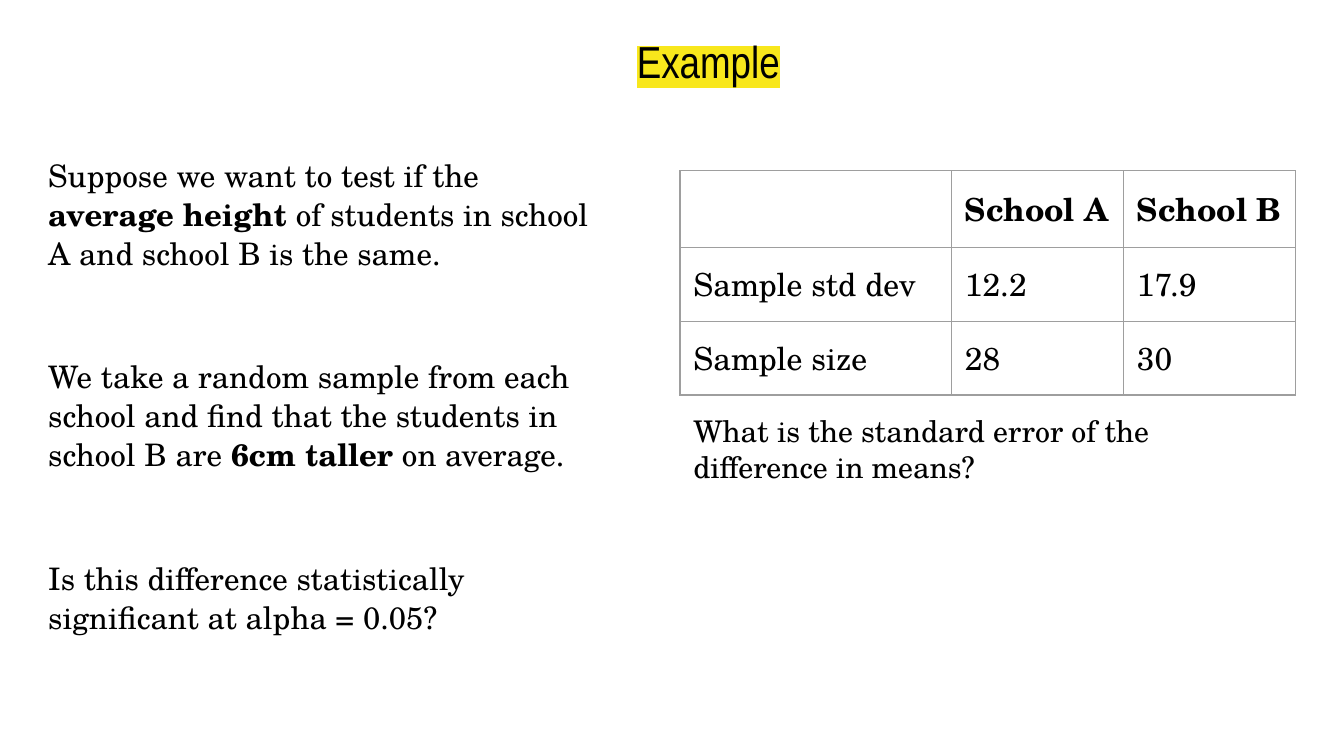
from lxml.etree import SubElement
from pptx import Presentation
from pptx.dml.color import RGBColor
from pptx.enum.text import MSO_ANCHOR, PP_ALIGN
from pptx.oxml.ns import qn
from pptx.util import Inches, Pt

FACE = "TeX Gyre Schola"
EDGE = "9E9E9E"
PAD = Inches(0.1)
RIGHT = 5.06


def style(par, size, face=FACE, color="000000"):
    par.font.size = Pt(size)
    par.font.name = face
    par.font.color.rgb = RGBColor.from_string(color)


def add_box(left, top, width, height, anchor=MSO_ANCHOR.TOP):
    """Add a wrapping text box, lengths in inches, and return its frame."""
    box = slide.shapes.add_textbox(*map(Inches, (left, top, width, height)))
    frame = box.text_frame
    frame.word_wrap = True
    frame.vertical_anchor = anchor
    frame.margin_left = frame.margin_right = PAD
    frame.margin_top = frame.margin_bottom = PAD
    return frame


deck = Presentation()
deck.slide_width = Inches(10)
deck.slide_height = deck.slide_width * 9 // 16
slide = deck.slides.add_slide(deck.slide_layouts[6])

# Title on a yellow marker
title = add_box(2.27, 0.13, 6, 0.62, MSO_ANCHOR.BOTTOM).paragraphs[0]
title.alignment = PP_ALIGN.CENTER
style(title, 24, "Arial Narrow")
run = title.add_run()
run.text = "Example"
mark = SubElement(run._r.get_or_add_rPr(), qn("a:highlight"))
SubElement(mark, qn("a:srgbClr"), val="F8E71C")

# Story on the left: plain and bold pieces take turns
story = [
    ["Suppose we want to test if the ", "average height",
     " of students in school A and school B is the same."],
    ["We take a random sample from each school and find that the students"
     " in school B are ", "6cm taller", " on average."],
    ["Is this difference statistically significant at alpha = 0.05?"],
]
frame = add_box(0.26, 1.05, 4.25, 4.24)
for i, parts in enumerate(story):
    par = frame.add_paragraph() if i else frame.paragraphs[0]
    par.line_spacing = 1.05
    par.space_before = Pt(45 if i else 0)
    style(par, 16.65)
    for j, part in enumerate(parts):
        run = par.add_run()
        run.text = part
        if j % 2:
            run.font.bold = True

# Sample table on the right
data = [
    ["", "School A", "School B"],
    ["Sample std dev", "12.2", "17.9"],
    ["Sample size", "28", "30"],
]
wide = [2.02, 1.28, 1.28]
high = [0.57, 0.55, 0.55]
table = slide.shapes.add_table(
    len(high), len(wide), Inches(RIGHT), Inches(1.27),
    Inches(sum(wide)), Inches(sum(high))).table
table.first_row = table.horz_banding = False
for col, width in zip(table.columns, wide):
    col.width = Inches(width)
for r, texts in enumerate(data):
    table.rows[r].height = Inches(high[r])
    for c, text in enumerate(texts):
        cell = table.cell(r, c)
        cell.margin_left = cell.margin_right = PAD
        cell.margin_top = cell.margin_bottom = PAD
        cell.text = text
        par = cell.text_frame.paragraphs[0]
        style(par, 17)
        par.font.bold = r == 0
        props = cell._tc.get_or_add_tcPr()
        for side in "LRTB":
            line = SubElement(props, qn(f"a:ln{side}"), w=str(Pt(0.75)))
            fill = SubElement(line, qn("a:solidFill"))
            SubElement(fill, qn("a:srgbClr"), val=EDGE)
        cell.fill.background()

# Question under the table
ask = add_box(RIGHT, 2.97, 4.58, 0.74).paragraphs[0]
ask.text = "What is the standard error of the difference in means?"
style(ask, 16)

deck.save("out.pptx")
